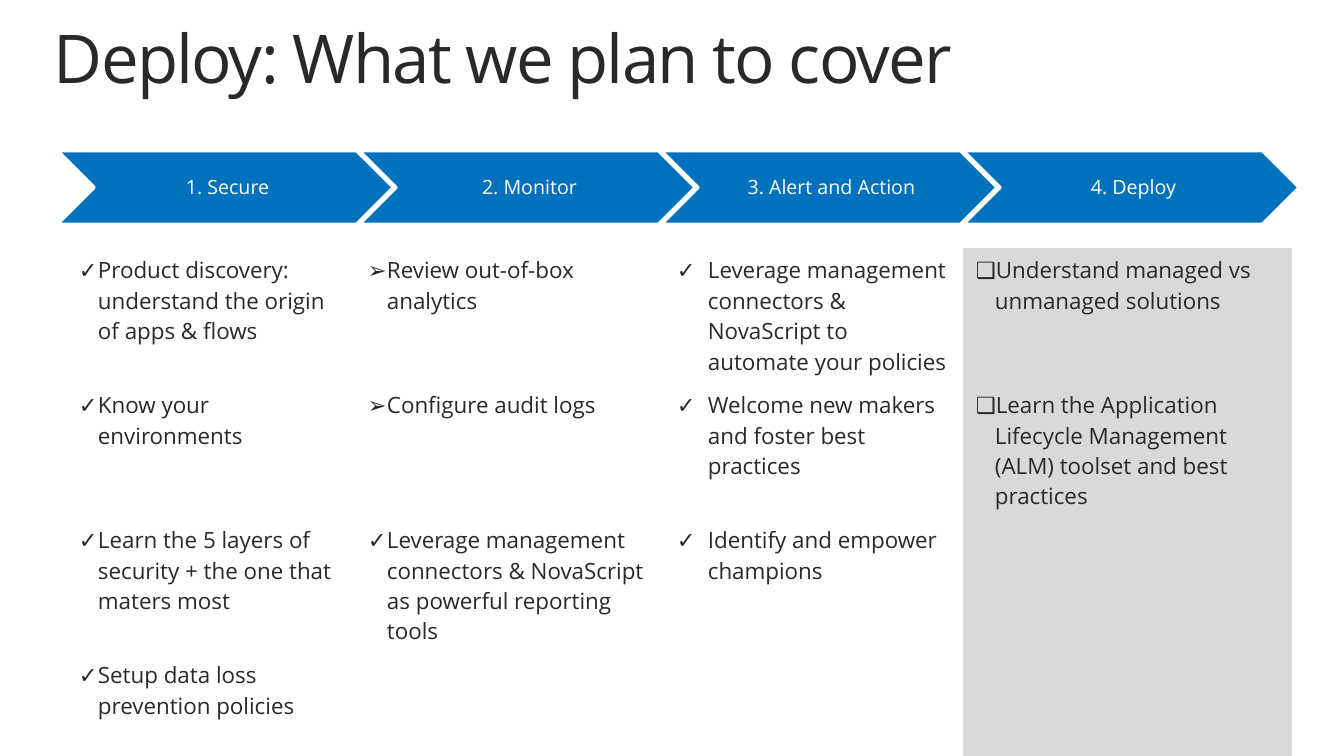
from pptx import Presentation
from pptx.dml.color import RGBColor
from pptx.enum.shapes import MSO_SHAPE
from pptx.enum.text import MSO_ANCHOR, PP_ALIGN
from pptx.oxml.ns import qn
from pptx.util import Pt
from lxml.etree import SubElement

SCALE = 914400 / 100.8
FONT = "Open Sans"
INK, BLUE, WHITE, GRAY = "292929", "0071BC", "FFFFFF", "D9D9D9"
NO_GRID = "{2D5ABB26-0587-4C30-8999-92F81FD0307C}"


def px(*sizes):
    """Turn pixels into a list of EMU lengths."""
    return [round(size * SCALE) for size in sizes]


def color(code):
    """Turn a hex string into a colour."""
    return RGBColor.from_string(code)


deck = Presentation()
deck.slide_width, deck.slide_height = px(1344, 756)
slide = deck.slides.add_slide(deck.slide_layouts[6])
shapes = slide.shapes

# Title and step labels: text, place, insets, size, colour
labels = [("Deploy: What we plan to cover", (54, 25, 1245, 74), (0, 0, 0, 0), 48, INK)]

# Chevrons
steps = ["1. Secure", "2. Monitor", "3. Alert and Action", "4. Deploy"]
for i, step in enumerate(steps):
    left = 58 + 302 * i
    arrow = shapes.add_shape(MSO_SHAPE.CHEVRON, *px(left, 151, 335, 73))
    arrow.shadow.inherit = False
    arrow.fill.solid()
    arrow.fill.fore_color.rgb = color(BLUE)
    arrow.line.color.rgb = color(WHITE)
    arrow.line.width = Pt(2)
    labels.append((step, (left + 37, 152, 261, 73), (6, 2, 2, 2), 14, WHITE))

for text, place, insets, size, ink in labels:
    frame = shapes.add_textbox(*px(*place)).text_frame
    frame.word_wrap = True
    (frame.margin_left, frame.margin_top,
     frame.margin_right, frame.margin_bottom) = px(*insets)
    para = frame.paragraphs[0]
    para.text = text
    para.line_spacing = 0.9
    para.font.name, para.font.size = FONT, Pt(size)
    para.font.color.rgb = color(ink)
    if ink == WHITE:
        frame.vertical_anchor = MSO_ANCHOR.MIDDLE
        para.alignment = PP_ALIGN.CENTER
    else:
        para.runs[0]._r.get_or_add_rPr().set("spc", "-130")

# Topics: width, fill, indent, then bullet and text of each row
topics = [
    (289, None, 19, [
        ("✓", "Product discovery: understand the origin of apps & flows"),
        ("✓", "Know your environments"),
        ("✓", "Learn the 5 layers of security + the one that maters most"),
        ("✓", "Setup data loss prevention policies")]),
    (309, WHITE, 19, [
        ("➢", "Review out-of-box analytics"),
        ("➢", "Configure audit logs"),
        ("✓", "Leverage management connectors & NovaScript as powerful reporting tools")]),
    (299, WHITE, 31, [
        ("✓", "Leverage management connectors & NovaScript to automate your policies"),
        ("✓", "Welcome new makers and foster best practices"),
        ("✓", "Identify and empower champions")]),
    (329, GRAY, 19, [
        ("❑", "Understand managed vs unmanaged solutions"),
        ("❑", "Learn the Application Lifecycle Management (ALM) toolset and best practices")]),
]
heights = [135, 135, 135, 103]
width = sum(topic[0] for topic in topics)
table = shapes.add_table(4, 4, *px(66, 248, width, sum(heights))).table
table.first_row = table.horz_banding = False
table._tbl.tblPr.find(qn("a:tableStyleId")).text = NO_GRID
for row, height in zip(table.rows, px(*heights)):
    row.height = height

for col, (width, fill, indent, items) in enumerate(topics):
    table.columns[col].width = px(width)[0]
    for row in range(len(heights)):
        cell = table.cell(row, col)
        (cell.margin_left, cell.margin_top,
         cell.margin_right, cell.margin_bottom) = px(13, 7, 13, 7)
        if fill:
            cell.fill.solid()
            cell.fill.fore_color.rgb = color(fill)
        else:
            cell.fill.background()
        if row >= len(items):
            continue
        mark, text = items[row]
        para = cell.text_frame.paragraphs[0]
        para.text = text
        props = para._p.get_or_add_pPr()
        props.set("marL", str(px(indent)[0]))
        props.set("indent", str(px(-indent)[0]))
        SubElement(props, qn("a:buFont")).set("typeface", FONT)
        SubElement(props, qn("a:buChar")).set("char", mark)
        para.font.name, para.font.size = FONT, Pt(16)
        para.font.color.rgb = color(INK)

deck.save("out.pptx")
